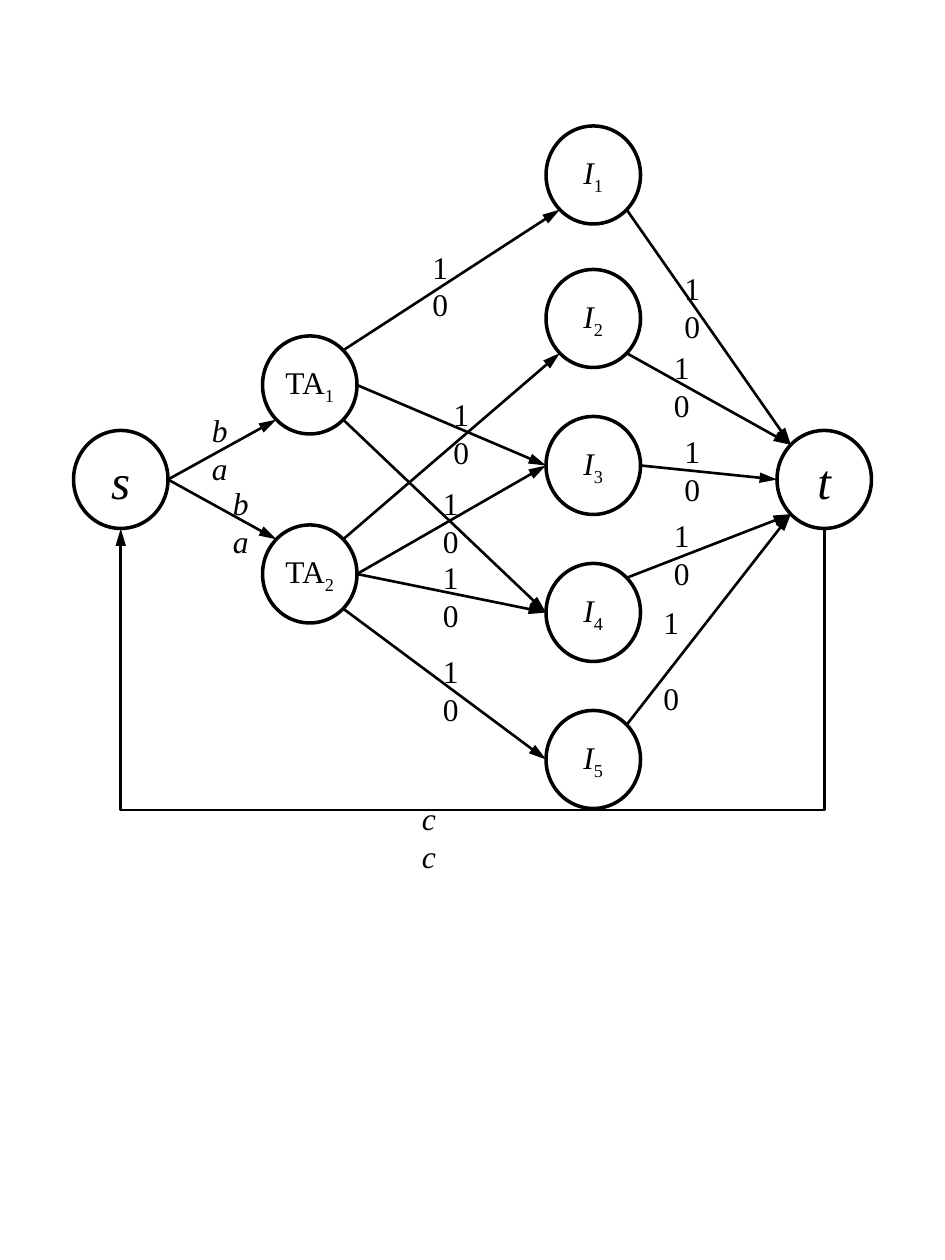
import math
from dataclasses import dataclass
from enum import IntEnum

import pptx
import pptx.dml.color
import pptx.enum.shapes
import pptx.enum.text
import pptx.oxml
import pptx.oxml.ns
import pptx.util
from lxml import etree

Pt = pptx.util.Pt
qn = pptx.oxml.ns.qn


@dataclass(frozen=True)
class Theme:
    """Colours, type sizes and line widths."""
    ink: pptx.dml.color.RGBColor = pptx.dml.color.RGBColor(0, 0, 0)
    font: str = "Times New Roman"
    body_size: float = 18
    terminal_size: float = 28
    node_line: float = 2
    arrow_line: float = 1.5


class Site(IntEnum):
    """Connection sites of an ellipse, counterclockwise from the top."""
    TOP, TOP_LEFT, LEFT, BOTTOM_LEFT, BOTTOM, BOTTOM_RIGHT, RIGHT, TOP_RIGHT = range(8)


@dataclass(frozen=True)
class Node:
    """A circle of the network, placed by its centre."""
    name: str
    x: float
    y: float
    subscript: str = ""
    italic: bool = True
    size: float = Theme.body_size

    def site(self, site: Site) -> tuple[float, float]:
        """Return the position of a connection site."""
        angle = site * math.pi / 4
        return (self.x - NODE_WIDTH / 2 * math.sin(angle),
                self.y - NODE_HEIGHT / 2 * math.cos(angle))


@dataclass(frozen=True)
class Edge:
    """An arrow between sites of two nodes."""
    start: str
    start_site: Site
    end: str
    end_site: Site


@dataclass(frozen=True)
class Label:
    """Upper and lower bound of an edge, one above the other."""
    x: float
    y: float
    upper: str = "1"
    lower: str = "0"
    gap: float = 0
    height: float = 51


THEME = Theme()
NODE_WIDTH, NODE_HEIGHT = 54, 56
LABEL_WIDTH = 24
RETURN_DEPTH = 161  # drop of the return arrow below s and t
RETURN_OFFSET = 0.17  # a bend is a share of this extent, so it cannot be zero

NODES = {
    "s": Node("s", 69, 274, size=THEME.terminal_size),
    "t": Node("t", 471, 274, size=THEME.terminal_size),
    "TA1": Node("TA", 177, 220, "1", italic=False),
    "TA2": Node("TA", 177, 328, "2", italic=False),
    **{f"I{i}": Node("I", 339, y, str(i))
       for i, y in enumerate((100, 182, 266, 350, 434), start=1)},
}
EDGES = (
    Edge("s", Site.RIGHT, "TA1", Site.BOTTOM_LEFT),
    Edge("s", Site.RIGHT, "TA2", Site.TOP_LEFT),
    Edge("TA1", Site.TOP_RIGHT, "I1", Site.BOTTOM_LEFT),
    Edge("TA1", Site.RIGHT, "I3", Site.LEFT),
    Edge("TA1", Site.BOTTOM_RIGHT, "I4", Site.LEFT),
    Edge("TA2", Site.TOP_RIGHT, "I2", Site.BOTTOM_LEFT),
    Edge("TA2", Site.RIGHT, "I3", Site.LEFT),
    Edge("TA2", Site.RIGHT, "I4", Site.LEFT),
    Edge("TA2", Site.BOTTOM_RIGHT, "I5", Site.LEFT),
    Edge("I1", Site.BOTTOM_RIGHT, "t", Site.TOP_LEFT),
    Edge("I2", Site.BOTTOM_RIGHT, "t", Site.TOP_LEFT),
    Edge("I3", Site.RIGHT, "t", Site.LEFT),
    Edge("I4", Site.TOP_RIGHT, "t", Site.BOTTOM_LEFT),
    Edge("I5", Site.TOP_RIGHT, "t", Site.BOTTOM_LEFT),
)
RETURN_EDGE = Edge("t", Site.BOTTOM, "s", Site.BOTTOM)
LABELS = (
    Label(114, 231.5, "b", "a"), Label(126, 273, "b", "a"),
    Label(240, 138), Label(252, 222), Label(246, 273), Label(246, 315.5), Label(246, 369),
    Label(384, 150), Label(378, 195.5), Label(384, 243.5), Label(378, 291.5),
    Label(372, 341, gap=22, height=73),
    Label(234, 453, "c", "c"),
)


def add_run(paragraph, text: str, size: float, italic: bool, subscript: bool = False) -> None:
    """Add one formatted run to a paragraph."""
    run = paragraph.add_run()
    run.text = text
    run.font.name = THEME.font
    run.font.size = Pt(size)
    run.font.italic = italic
    run.font.color.rgb = THEME.ink
    if subscript:
        run._r.get_or_add_rPr().set("baseline", "-25000")


def add_node(slide, node: Node):
    """Draw a circle with its name and return the shape."""
    shape = slide.shapes.add_shape(
        pptx.enum.shapes.MSO_SHAPE.OVAL, Pt(node.x - NODE_WIDTH / 2),
        Pt(node.y - NODE_HEIGHT / 2), Pt(NODE_WIDTH), Pt(NODE_HEIGHT))
    shape.shadow.inherit = False
    shape.fill.background()
    shape.line.color.rgb = THEME.ink
    shape.line.width = Pt(THEME.node_line)
    frame = shape.text_frame
    frame.word_wrap = False
    frame.vertical_anchor = pptx.enum.text.MSO_ANCHOR.MIDDLE
    paragraph = frame.paragraphs[0]
    paragraph.alignment = pptx.enum.text.PP_ALIGN.CENTER
    add_run(paragraph, node.name, node.size, node.italic)
    if node.subscript:
        add_run(paragraph, node.subscript, node.size, False, subscript=True)
    return shape


def add_edge(slide, edge: Edge, shapes: dict, kind=pptx.enum.shapes.MSO_CONNECTOR.STRAIGHT):
    """Draw an arrow attached to its two nodes and return it."""
    start = NODES[edge.start].site(edge.start_site)
    end = NODES[edge.end].site(edge.end_site)
    connector = slide.shapes.add_connector(kind, *(Pt(value) for value in (*start, *end)))
    connector.line.color.rgb = THEME.ink
    connector.line.width = Pt(THEME.arrow_line)
    etree.SubElement(connector.line._get_or_add_ln(), qn("a:tailEnd"),
                     type="triangle", w="med", len="lg")
    etree.SubElement(connector._element.spPr, qn("a:effectLst"))
    joints = connector._element.find(".//" + qn("p:cNvCxnSpPr"))
    for tag, name, site in (("a:stCxn", edge.start, edge.start_site),
                            ("a:endCxn", edge.end, edge.end_site)):
        etree.SubElement(joints, qn(tag), id=str(shapes[name].shape_id), idx=str(int(site)))
    return connector


def add_return_edge(slide, shapes: dict) -> None:
    """Draw the bent arrow that runs below the network from t back to s."""
    connector = add_edge(slide, RETURN_EDGE, shapes, pptx.enum.shapes.MSO_CONNECTOR.ELBOW)
    source, sink = NODES["s"], NODES["t"]
    span = sink.x - source.x
    bottom = source.y + NODE_HEIGHT / 2
    frame = connector._element.spPr.find(qn("a:xfrm"))
    for flip in ("flipH", "flipV"):
        frame.attrib.pop(flip, None)
    frame.set("rot", str(90 * 60000))
    connector.left = Pt((source.x + sink.x - RETURN_OFFSET) / 2)
    connector.top = Pt(bottom - span / 2)
    connector.width, connector.height = Pt(RETURN_OFFSET), Pt(span)
    guides = connector._element.spPr.find(qn("a:prstGeom")).get_or_add_avLst()
    bend = round(RETURN_DEPTH / RETURN_OFFSET * 100000)
    etree.SubElement(guides, qn("a:gd"), name="adj1", fmla=f"val {bend}")


def add_label(slide, label: Label) -> None:
    """Write the two bounds of an edge."""
    box = slide.shapes.add_textbox(Pt(label.x), Pt(label.y), Pt(LABEL_WIDTH), Pt(label.height))
    frame = box.text_frame
    frame.word_wrap = False
    frame.auto_size = pptx.enum.text.MSO_AUTO_SIZE.SHAPE_TO_FIT_TEXT
    upper, lower = frame.paragraphs[0], frame.add_paragraph()
    lower.space_before = Pt(label.gap)
    for paragraph, text in ((upper, label.upper), (lower, label.lower)):
        add_run(paragraph, text, THEME.body_size, text.isalpha())


def main() -> None:
    """Build the flow network slide."""
    presentation = pptx.Presentation()
    presentation.slide_width, presentation.slide_height = Pt(540), Pt(720)
    slide = presentation.slides.add_slide(presentation.slide_layouts[6])
    shapes = {key: add_node(slide, node) for key, node in NODES.items()}
    for edge in EDGES:
        add_edge(slide, edge, shapes)
    add_return_edge(slide, shapes)
    for label in LABELS:
        add_label(slide, label)
    presentation.save("out.pptx")


main()
